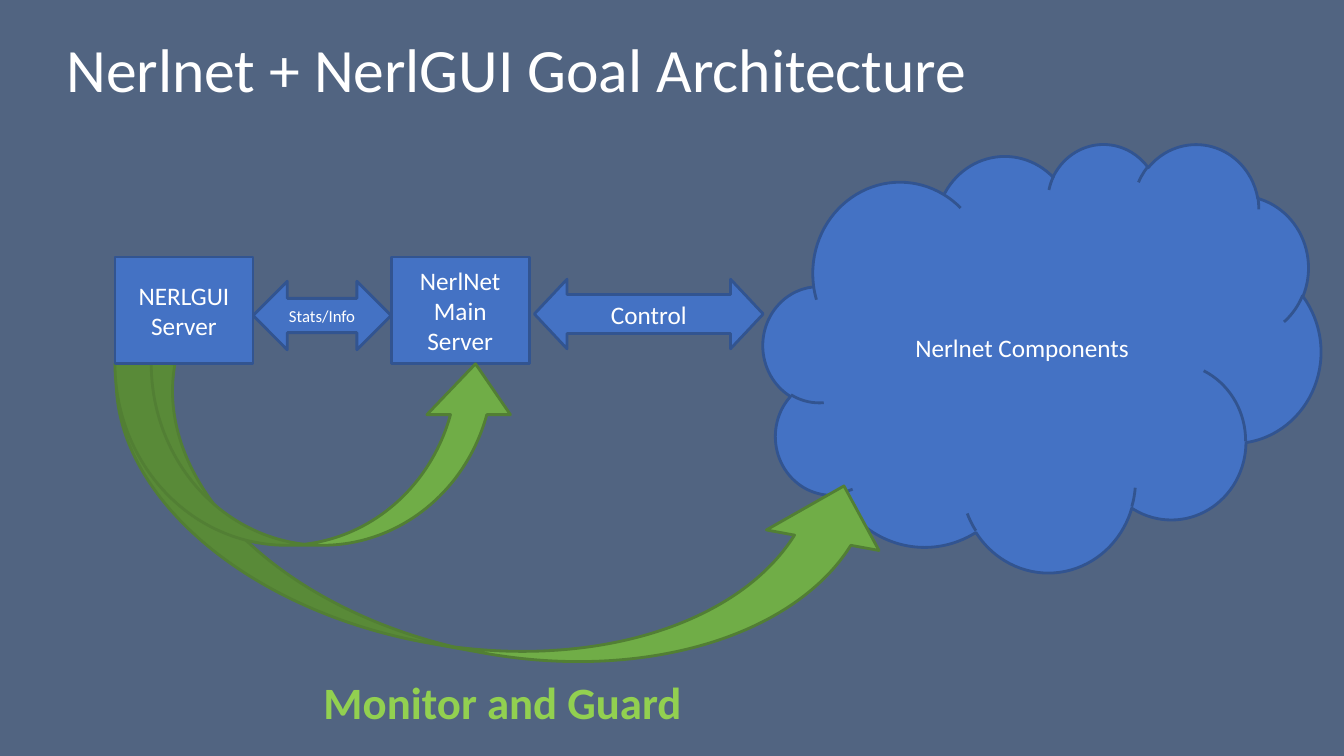
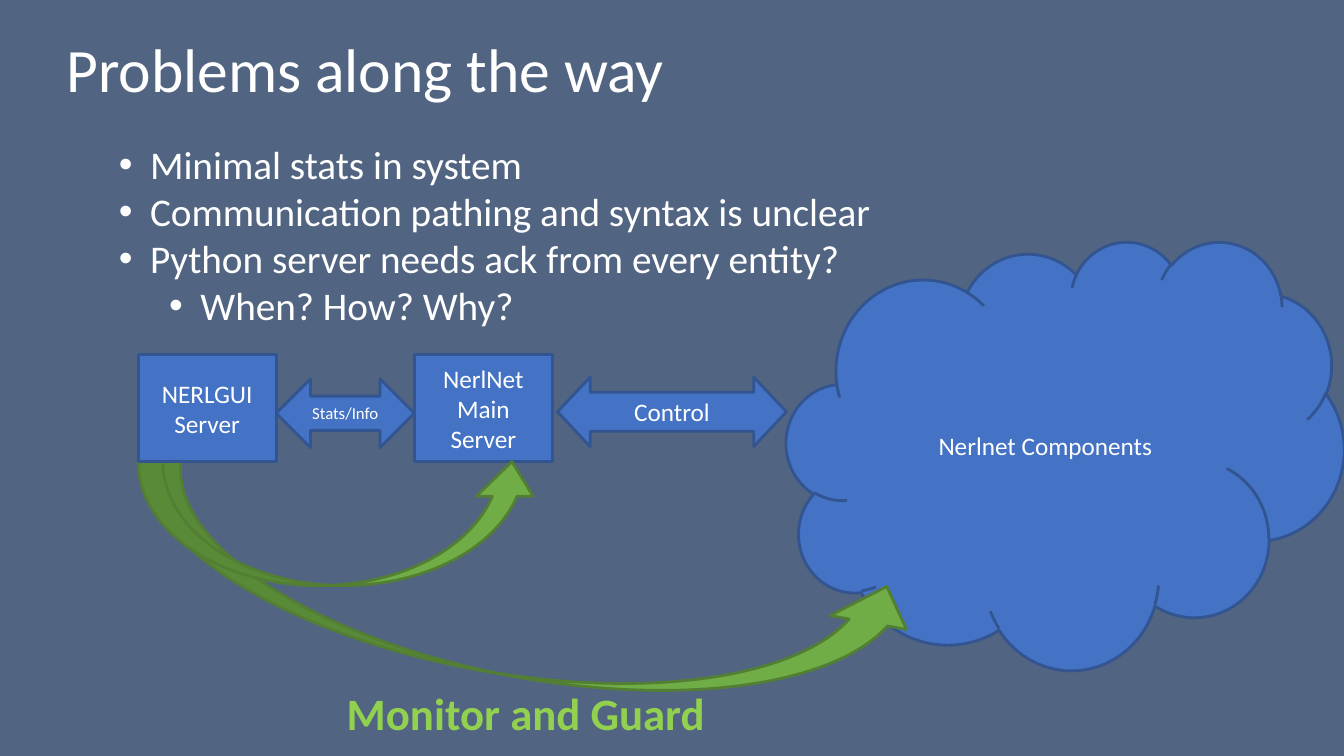
import pptx
import pptx.dml.color
import pptx.enum.shapes
import pptx.enum.text
import pptx.oxml
import pptx.oxml.ns
import pptx.util

Inches = pptx.util.Inches
Pt = pptx.util.Pt
SHAPE = pptx.enum.shapes.MSO_SHAPE
ALIGN = pptx.enum.text.PP_ALIGN
ANCHOR = pptx.enum.text.MSO_ANCHOR

COLORS = {
    "background": "516481",
    "text": "FFFFFF",
    "block": "4472C4",
    "block_line": "325490",
    "guard": "70AD47",
    "guard_line": "527F34",
    "caption": "92D050",
}
FONT = "Calibri"
SERVER_W, SERVER_H = 1.37, 1.06
BULLET_INDENT = 0.31
LEVEL_INDENT = 0.5


def rgb(color):
    return pptx.dml.color.RGBColor.from_string(COLORS[color])


def set_values(target, values):
    for name, value in values.items():
        setattr(target, name, value)


def write_text(frame, lines, size, color="text", bold=False, paragraph_format=None):
    """Fill a text frame with one paragraph per line and return the paragraphs."""
    frame.text = "\n".join(lines)
    for paragraph in frame.paragraphs:
        set_values(paragraph, paragraph_format or {})
        for run in paragraph.runs:
            set_values(run.font, {"name": FONT, "size": Pt(size), "bold": bold})
            run.font.color.rgb = rgb(color)
    return frame.paragraphs


def add_text(slide, box, lines, size, frame_format=None, **text_format):
    frame = slide.shapes.add_textbox(*map(Inches, box)).text_frame
    set_values(frame, {"word_wrap": True, **(frame_format or {})})
    return write_text(frame, lines, size, **text_format)


def add_figure(slide, kind, box, color, adjustments=()):
    figure = slide.shapes.add_shape(kind, *map(Inches, box))
    figure.shadow.inherit = False
    figure.fill.solid()
    figure.fill.fore_color.rgb = rgb(color)
    figure.line.color.rgb = rgb(color + "_line")
    figure.line.width = Pt(2)
    for index, value in enumerate(adjustments):
        figure.adjustments[index] = value
    return figure


def add_block(slide, kind, box, lines, size=18, adjustments=()):
    block = add_figure(slide, kind, box, "block", adjustments)
    block.text_frame.vertical_anchor = ANCHOR.MIDDLE
    write_text(block.text_frame, lines, size,
               paragraph_format={"alignment": ALIGN.CENTER})


def add_guard_arrow(slide, box, adjustments, rotation=0):
    arrow = add_figure(slide, SHAPE.CURVED_UP_ARROW, box, "guard", adjustments)
    arrow.rotation = rotation


def add_title(slide, title):
    add_text(slide, (0.56, 0.21, 11.5, 1.03), [title], 44,
             frame_format={"vertical_anchor": ANCHOR.MIDDLE},
             paragraph_format={"line_spacing": 0.9})


def add_bullets(slide, box, items):
    """Items are pairs of level and text."""
    paragraphs = add_text(slide, box, [text for _, text in items], 28,
                          frame_format={"word_wrap": False})
    namespace = pptx.oxml.ns.nsdecls("a")
    for paragraph, (level, _) in zip(paragraphs, items):
        paragraph.level = level
        properties = paragraph._p.get_or_add_pPr()
        properties.set("marL", str(Inches(BULLET_INDENT + level * LEVEL_INDENT)))
        properties.set("indent", str(-Inches(BULLET_INDENT)))
        for element in (
            f'<a:buClr {namespace}><a:srgbClr val="{COLORS["text"]}"/></a:buClr>',
            f'<a:buFont {namespace} typeface="Arial"/>',
            f'<a:buChar {namespace} char="•"/>',
        ):
            properties.append(pptx.oxml.parse_xml(element))


def add_architecture(slide, left, top, cloud_guard, server_guard_height, caption_top):
    """Draw the system with its GUI server at left, top.

    cloud_guard holds the left offset and height of the arrow to the cloud.
    """
    main_left = left + 2 * SERVER_W
    cloud_left = left + 6.43
    cloud_guard_offset, cloud_guard_height = cloud_guard

    add_block(slide, SHAPE.RECTANGLE, (main_left, top, SERVER_W, SERVER_H),
              ["NerlNet Main Server"])
    add_block(slide, SHAPE.LEFT_RIGHT_ARROW,
              (left + SERVER_W, top + 0.24, SERVER_W, 0.68),
              ["Stats/Info"], 12, (0.5, 0.5))
    add_block(slide, SHAPE.CLOUD, (cloud_left, top - 1.13, 5.53, 4.25),
              ["Nerlnet Components"])
    add_block(slide, SHAPE.LEFT_RIGHT_ARROW,
              (cloud_left - 2.27, top + 0.22, 2.27, 0.69),
              ["Control"], adjustments=(0.56, 0.47))
    add_guard_arrow(slide,
                    (left + cloud_guard_offset, top + 1.65, 7.88, cloud_guard_height),
                    (0.25, 0.5, 0.25), rotation=10.3)
    add_guard_arrow(slide, (left, top + SERVER_H, 3.99, server_guard_height),
                    (0.2, 0.46, 0.28))
    add_text(slide, (left + 1.97, caption_top, 6.75, 0.63), ["Monitor and Guard"],
             32, color="caption", bold=True)
    add_block(slide, SHAPE.RECTANGLE, (left, top, SERVER_W, SERVER_H),
              ["NERLGUI", "Server"])


def add_slide(deck, title):
    slide = deck.slides.add_slide(deck.slide_layouts[6])
    add_title(slide, title)
    return slide


def main():
    deck = pptx.Presentation()
    set_values(deck, {"slide_width": Inches(13.33), "slide_height": Inches(7.5)})
    background = deck.slide_master.background.fill
    background.solid()
    background.fore_color.rgb = rgb("background")

    goal = add_slide(deck, "Nerlnet + NerlGUI Goal Architecture")
    add_architecture(goal, 1.14, 2.55, cloud_guard=(-0.23, 2.27),
                     server_guard_height=1.8, caption_top=6.64)

    problems = add_slide(deck, "Problems along the way")
    add_architecture(problems, 1.37, 3.52, cloud_guard=(-0.15, 1.54),
                     server_guard_height=1.23, caption_top=6.75)
    add_bullets(problems, (1.08, 1.34, 7.65, 1.97), [
        (0, "Minimal stats in system"),
        (0, "Communication pathing and syntax is unclear"),
        (0, "Python server needs ack from every entity?"),
        (1, "When? How? Why?"),
    ])

    deck.save("out.pptx")


if __name__ == "__main__":
    main()
